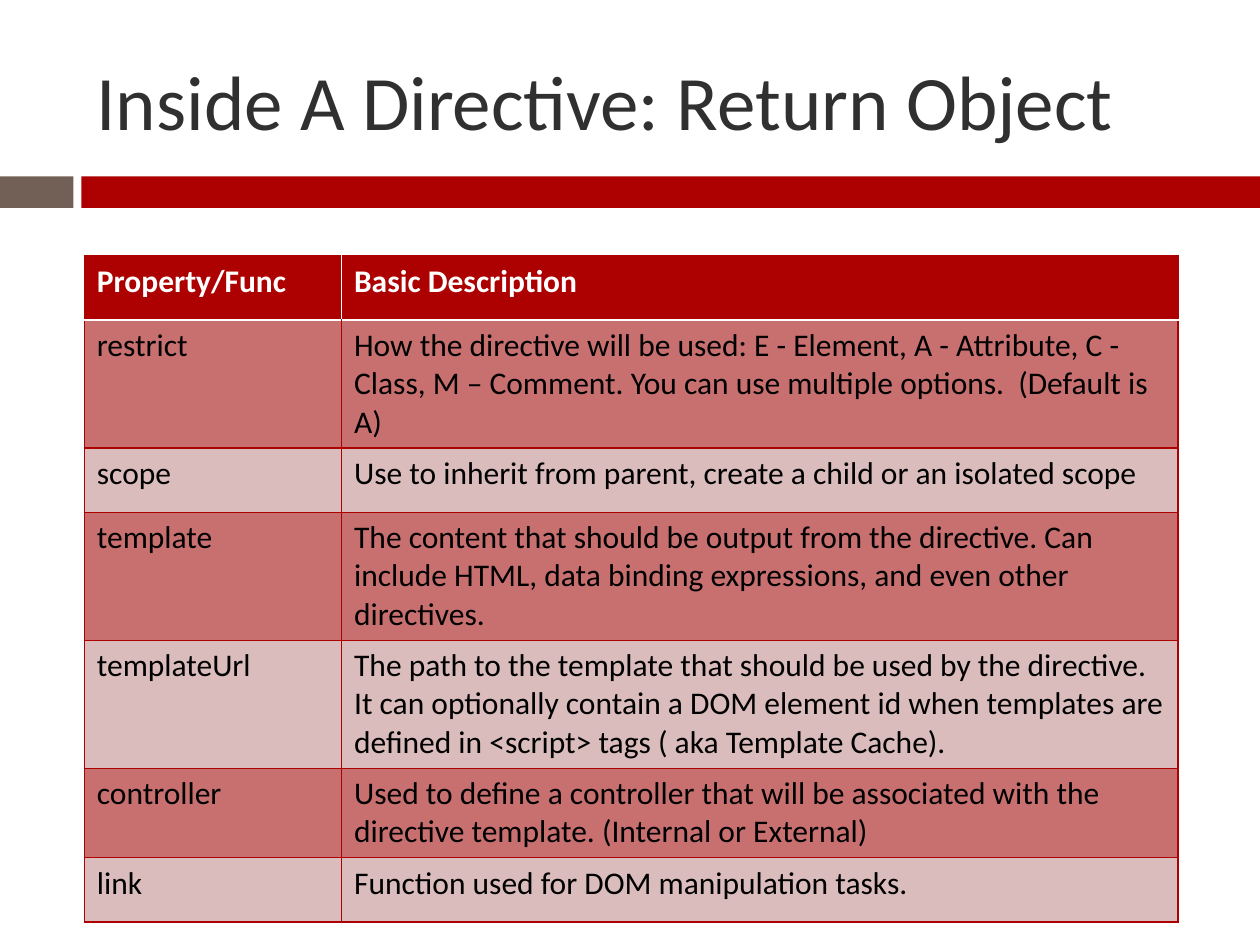
"""Build the slide on the properties of a directive's return object."""
from lxml import etree
from pptx import Presentation
from pptx.dml.color import RGBColor
from pptx.enum import shapes, text
from pptx.oxml import ns
from pptx.util import Pt

RED, WHITE = "AD0101", "FFFFFF"
ROWS = [
    ("Property/Func", "Basic Description"),
    ("restrict", "How the directive will be used: E - Element, A - Attribute, C - Class, "
     "M – Comment. You can use multiple options.  (Default is A)"),
    ("scope", "Use to inherit from parent, create a child or an isolated scope"),
    ("template", "The content that should be output from the directive. Can include HTML, "
     "data binding expressions, and even other directives."),
    ("templateUrl", "The path to the template that should be used by the directive. It can "
     "optionally contain a DOM element id when templates are defined in <script> tags "
     "( aka Template Cache)."),
    ("controller", "Used to define a controller that will be associated with the directive "
     "template. (Internal or External)"),
    ("link", "Function used for DOM manipulation tasks."),
]


def paint(target, color):
    target.solid()
    target.fore_color.rgb = RGBColor.from_string(color)


def set_border(cell, side, color, width):
    tag = ns.qn(f"a:ln{side}")
    ln = etree.SubElement(cell._tc.get_or_add_tcPr(), tag, w=str(Pt(width)))
    fill = etree.SubElement(ln, ns.qn("a:solidFill"))
    etree.SubElement(fill, ns.qn("a:srgbClr"), val=color)


prs = Presentation()
prs.slide_width, prs.slide_height = Pt(720), Pt(540)
s = prs.slides.add_slide(prs.slide_layouts[5])

for left, width, color in [(0, 42, "726056"), (46.5, 673.5, RED)]:
    sp = s.shapes.add_shape(shapes.MSO_SHAPE.RECTANGLE, Pt(left), Pt(100.8), Pt(width), Pt(18))
    sp.shadow.inherit = False
    paint(sp.fill, color)
    sp.line.fill.background()

title = s.shapes.title
title.left, title.top, title.width, title.height = Pt(48), Pt(18), Pt(642), Pt(78)
tf = title.text_frame
tf.text = "Inside A Directive: Return Object"
tf.vertical_anchor = text.MSO_ANCHOR.MIDDLE
p = tf.paragraphs[0]
p.alignment = text.PP_ALIGN.LEFT
p.font.name, p.font.size = "Calibri", Pt(44)
paint(p.font.fill, "303030")

frame = s.shapes.add_table(len(ROWS), 2, Pt(48.2), Pt(146.2), Pt(625), Pt(265.6))
tbl = frame.table
tbl.columns[0].width, tbl.columns[1].width = Pt(147), Pt(478)
for i, row in enumerate(ROWS):
    header = i == 0
    tbl.rows[i].height = Pt(45.4 if i == 3 else 36.7)
    for j, words in enumerate(row):
        cell = tbl.cell(i, j)
        cell.text = words
        p = cell.text_frame.paragraphs[0]
        p.font.name, p.font.size, p.font.bold = "Calibri", Pt(18), header
        paint(p.font.fill, WHITE if header else "000000")
        for side in "LRTB":
            if header and (j, side) in [(0, "R"), (1, "L")]:
                continue
            divider = (i, side) in [(0, "B"), (1, "T")]
            set_border(cell, side, WHITE if divider else RED, 1.5 if divider else 0.79)
        paint(cell.fill, RED if header else "C87070" if i % 2 else "DABCBC")

prs.save("out.pptx")
